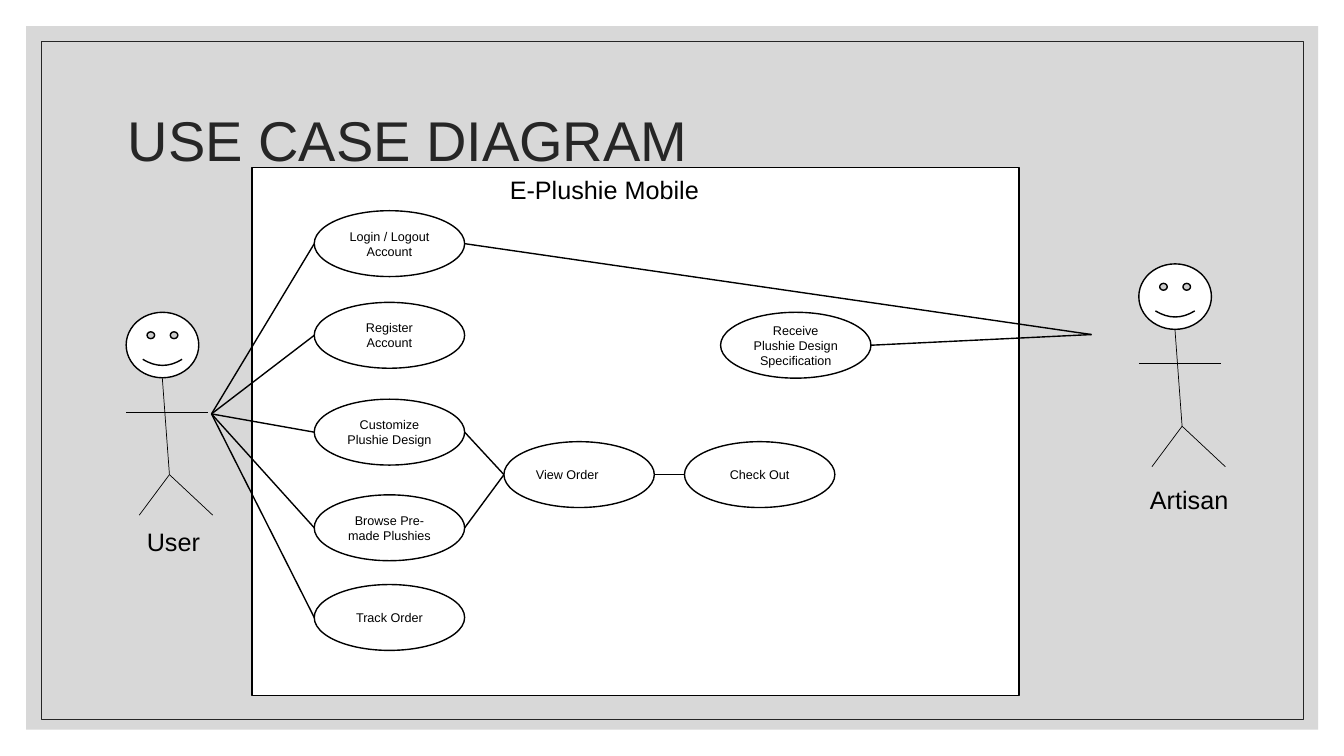
"""Build the use case diagram slide of the plushie ordering app."""
from lxml.etree import SubElement
from pptx import Presentation
from pptx.dml.color import RGBColor
from pptx.enum.shapes import MSO_CONNECTOR, MSO_SHAPE as SHAPE
from pptx.enum.text import MSO_ANCHOR, MSO_AUTO_SIZE, PP_ALIGN
from pptx.oxml.ns import qn
from pptx.util import Cm, Pt

BLACK = RGBColor(0x00, 0x00, 0x00)
WHITE = RGBColor(0xFF, 0xFF, 0xFF)
GREY = RGBColor(0xBF, 0xBF, 0xBF)
DARK = RGBColor(0x26, 0x26, 0x26)
FONT = "Arial"

TITLE = "USE CASE DIAGRAM"
SYSTEM = ("E-Plushie Mobile", 12.45, 4.27, 5.56)
CASE_W, CASE_H = 3.79, 1.66
CASES = {
    "login": ("Login / Logout Account", 7.92, 5.31),
    "register": ("Register Account", 7.92, 7.62),
    "customize": ("Customize Plushie Design", 7.92, 10.06),
    "browse": ("Browse Pre-made Plushies", 7.92, 12.47),
    "track": ("Track Order", 7.92, 14.73),
    "view": ("View Order\t", 12.7, 11.13),
    "checkout": ("Check Out", 17.25, 11.13),
    "receive": ("Receive Plushie Design Specification", 18.16, 7.87),
}
FLOWS = [("customize", "view"), ("browse", "view"), ("view", "checkout")]
USER_HAND, USER_CASES = (5.33, 10.43), ["login", "register", "customize", "browse", "track"]
ARTISAN_HAND, ARTISAN_CASES = (27.51, 8.43), ["login", "receive"]

ACTORS = [
    (3.18, 7.87, ("User", 3.45, 13.13, 2.41)),
    (28.7, 6.65, ("Artisan", 28.73, 12.09, 3.35)),
]
HEAD_W, HEAD_H = 1.83, 1.65
NECK, HIP = (0.91, 1.65), (1.09, 4.09)
LIMBS = [
    (NECK, HIP),
    (HIP, (2.18, 5.11)),
    (HIP, (0.33, 5.11)),
    ((0, 2.51), (2.06, 2.51)),
]


def write(tf, text, size, color=BLACK, align=PP_ALIGN.LEFT):
    tf.word_wrap = True
    p = tf.paragraphs[0]
    p.alignment = align
    r = p.add_run()
    r.text = text
    r.font.name, r.font.size, r.font.color.rgb = FONT, Pt(size), color
    return p


def add_shape(s, kind, x, y, w, h, fill=WHITE, line=BLACK, width=1):
    sp = s.shapes.add_shape(kind, Cm(x), Cm(y), Cm(w), Cm(h))
    sp.shadow.inherit = False
    if fill is None:
        sp.fill.background()
    else:
        sp.fill.solid()
        sp.fill.fore_color.rgb = fill
    if line is None:
        sp.line.fill.background()
    else:
        sp.line.color.rgb, sp.line.width = line, Pt(width)
    return sp


def add_line(s, start, end, width=1):
    cx = s.shapes.add_connector(MSO_CONNECTOR.STRAIGHT, *map(Cm, start + end))
    cx.line.color.rgb, cx.line.width = BLACK, Pt(width)
    SubElement(cx.element.spPr, qn("a:effectLst"))


def add_label(s, text, x, y, w, align=PP_ALIGN.LEFT):
    tf = s.shapes.add_textbox(Cm(x), Cm(y), Cm(w), Cm(1.03)).text_frame
    write(tf, text, 18, align=align)


def add_actor(s, x, y, label):
    add_shape(s, SHAPE.SMILEY_FACE, x, y, HEAD_W, HEAD_H)
    for start, end in LIMBS:
        add_line(s, (x + start[0], y + start[1]), (x + end[0], y + end[1]), 0.5)
    add_label(s, *label)


def left_of(case):
    _, x, y = CASES[case]
    return x, y + CASE_H / 2


def right_of(case):
    x, y = left_of(case)
    return x + CASE_W, y


def add_frame(s):
    panel = add_shape(s, SHAPE.RECTANGLE, 0.66, 0.66, 32.56, 17.73, GREY, None)
    color = panel.element.spPr.find(qn("a:solidFill"))[0]
    SubElement(color, qn("a:alpha"), val="60000")
    add_shape(s, SHAPE.RECTANGLE, 1.04, 1.04, 31.8, 17.09, None, DARK, 0.5)


def add_title(s):
    sp = s.shapes.title
    sp.element.getparent().append(sp.element)
    sp.left, sp.top, sp.width, sp.height = Cm(2.97), Cm(1.7), Cm(27.94), Cm(3.81)
    tf = sp.text_frame
    tf.auto_size = MSO_AUTO_SIZE.NONE
    tf.vertical_anchor = MSO_ANCHOR.MIDDLE
    write(tf, TITLE, 40, DARK).line_spacing = 0.9


def main():
    prs = Presentation()
    prs.slide_width, prs.slide_height = Cm(33.87), Cm(19.05)
    s = prs.slides.add_slide(prs.slide_layouts[5])
    add_frame(s)
    add_title(s)
    add_shape(s, SHAPE.RECTANGLE, 6.35, 4.22, 19.33, 13.31)
    add_label(s, *SYSTEM, align=PP_ALIGN.CENTER)
    for actor in ACTORS:
        add_actor(s, *actor)
    for text, x, y in CASES.values():
        tf = add_shape(s, SHAPE.OVAL, x, y, CASE_W, CASE_H).text_frame
        tf.vertical_anchor = MSO_ANCHOR.MIDDLE
        write(tf, text, 9, align=PP_ALIGN.CENTER)
    for case in USER_CASES:
        add_line(s, USER_HAND, left_of(case))
    for case in ARTISAN_CASES:
        add_line(s, ARTISAN_HAND, right_of(case))
    for source, target in FLOWS:
        add_line(s, right_of(source), left_of(target))
    prs.save("out.pptx")


if __name__ == "__main__":
    main()
